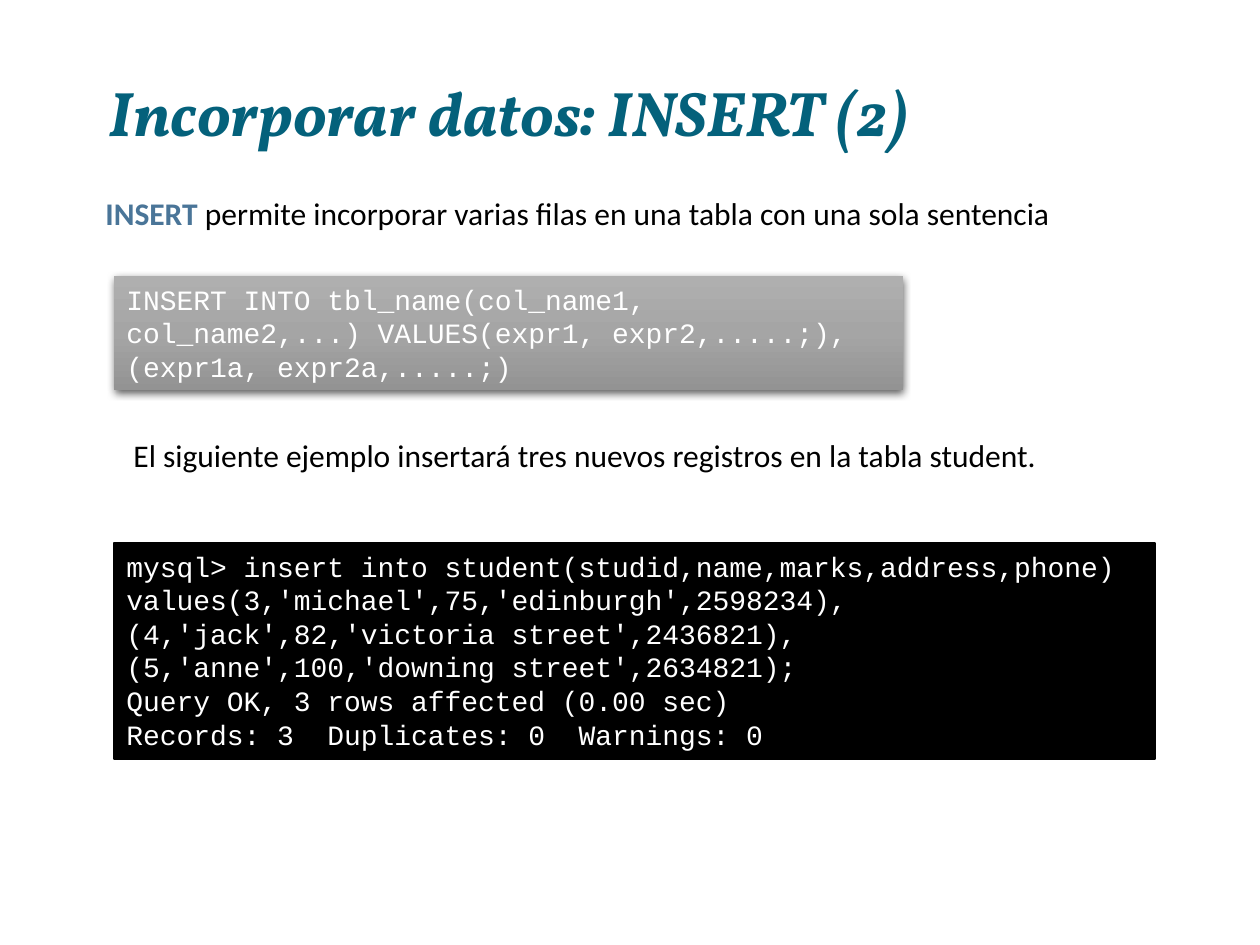
import copy

import pptx
import pptx.dml.color
import pptx.enum.shapes
import pptx.enum.text
import pptx.oxml
import pptx.oxml.ns
import pptx.util

SCALE = 914400 / 126  # EMU per px


def tint(code):
    """Turn a hex string into a colour."""
    return pptx.dml.color.RGBColor.from_string(code)


def write(shape, box, lines, **style):
    """Place a shape and fill it with lines, each a list of (text, extra style) runs."""
    spots = [round(n * SCALE) for n in box]
    for name, value in zip(("left", "top", "width", "height"), spots):
        setattr(shape, name, value)
    frame = shape.text_frame
    frame.word_wrap = True
    for i, line in enumerate(lines):
        para = frame.paragraphs[0] if i == 0 else frame.add_paragraph()
        para.alignment = style.get("align", pptx.enum.text.PP_ALIGN.LEFT)
        for text, extra in line:
            run = para.add_run()
            run.text = text
            look = {**style, **extra}
            run.font.color.rgb = tint(look["color"])
            for key in ("name", "size", "bold", "italic"):
                setattr(run.font, key, look.get(key, False))


deck = pptx.Presentation()
deck.slide_width = round(1260 * SCALE)
deck.slide_height = round(945 * SCALE)
slide = deck.slides.add_slide(deck.slide_layouts[5])
shapes = slide.shapes
rect = pptx.enum.shapes.MSO_SHAPE.RECTANGLE
point = pptx.util.Pt
prose = {"name": "Calibri", "size": point(18), "color": "000000"}
code = {"name": "Courier New", "size": point(16), "color": "FFFFFF"}

# Title
title = shapes.title
write(title, (21, 47, 975, 128), [[("Incorporar datos: INSERT (2)", {})]],
      name="Vollkorn", size=point(36), color="04617B", bold=True, italic=True,
      align=pptx.enum.text.PP_ALIGN.CENTER)
title.text_frame.vertical_anchor = pptx.enum.text.MSO_ANCHOR.MIDDLE

# Prose
intro = [("INSERT", {"color": "4A7598", "bold": True}),
         (" permite incorporar varias filas en una tabla con una sola sentencia", {})]
lead = [("El siguiente ejemplo insertará tres nuevos registros en la tabla student.", {})]
for box, line in (((93, 188, 987, 50), intro), ((121, 430, 1016, 50), lead)):
    write(shapes.add_textbox(0, 0, 0, 0), box, [line], **prose)

# Code panels
syntax = ["INSERT INTO tbl_name(col_name1, col_name2,...) "
          "VALUES(expr1, expr2,.....;), (expr1a, expr2a,.....;)"]
shell = ["mysql> insert into student(studid,name,marks,address,phone)",
         "values(3,'michael',75,'edinburgh',2598234),",
         "(4,'jack',82,'victoria street',2436821),",
         "(5,'anne',100,'downing street',2634821);",
         "Query OK, 3 rows affected (0.00 sec)",
         "Records: 3  Duplicates: 0  Warnings: 0"]
panels = []
for box, lines in (((114, 276, 789, 114), syntax), ((114, 543, 1041, 216), shell)):
    panel = shapes.add_shape(rect, 0, 0, 0, 0)
    panel.shadow.inherit = False
    write(panel, box, [[(text, {})] for text in lines], **code)
    panel.text_frame.vertical_anchor = pptx.enum.text.MSO_ANCHOR.TOP
    panels.append(panel)
grey, black = panels

black.fill.solid()
black.fill.fore_color.rgb = tint("000000")
black.line.color.rgb = tint("000000")
black.line.width = point(1)

grey.line.fill.background()
grey.fill.gradient()
grey.fill.gradient_angle = 270
stops = grey.element.xpath(".//a:gsLst")[0]
stops.insert(1, copy.deepcopy(stops[0]))
for stop, place, shade in zip(grey.fill.gradient_stops, (0, 0.5, 1),
                              ("AFAFAF", "A5A5A5", "939393")):
    stop.position = place
    stop.color.rgb = tint(shade)

glow = pptx.oxml.parse_xml(
    f'<a:outerShdw {pptx.oxml.ns.nsdecls("a")} blurRad="57150" dist="19050" '
    'dir="5400000" algn="ctr" rotWithShape="0">'
    '<a:srgbClr val="000000"><a:alpha val="63000"/></a:srgbClr></a:outerShdw>')
grey.element.xpath(".//a:effectLst")[0].append(glow)

deck.save("out.pptx")
